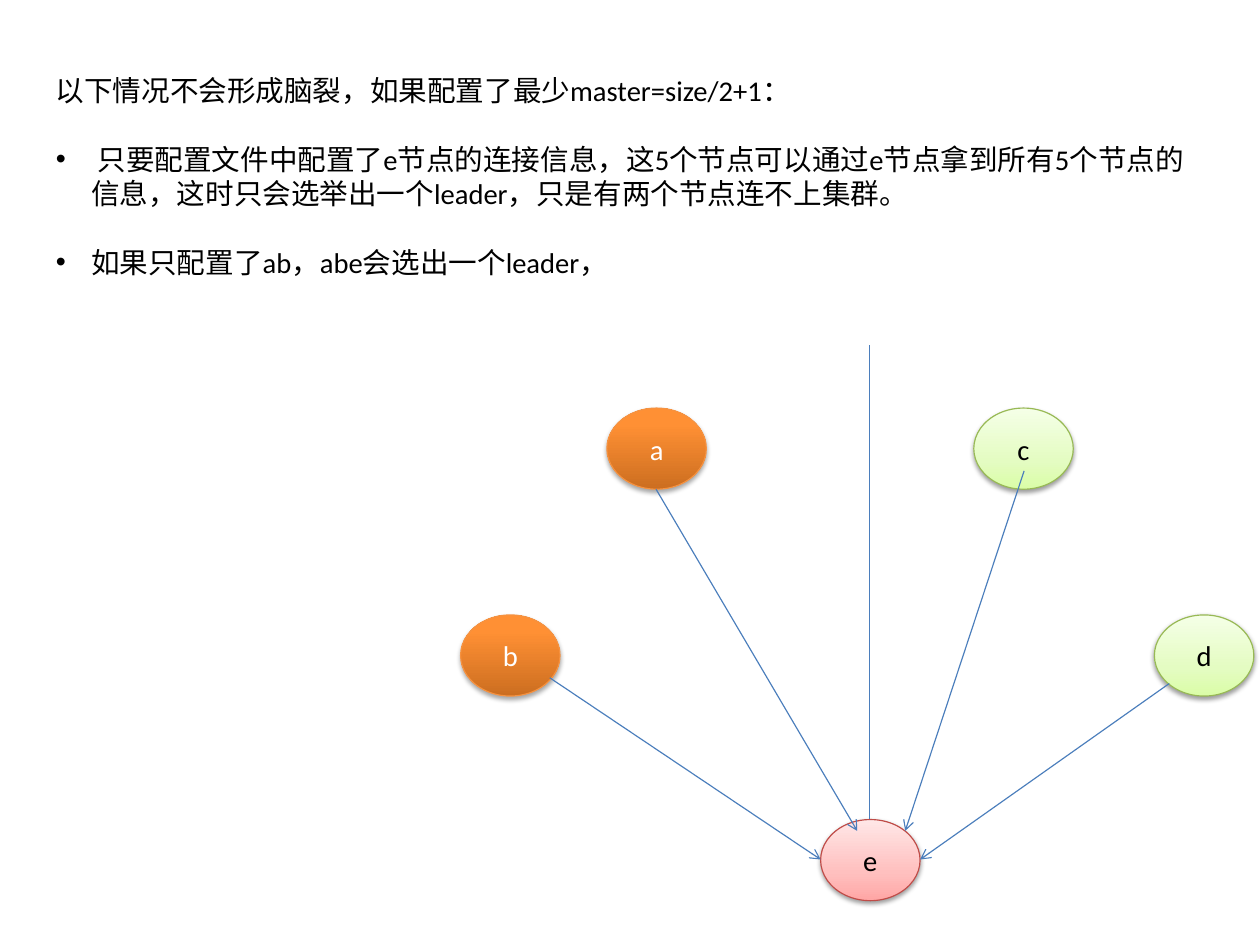
from lxml.etree import SubElement
from pptx import Presentation
from pptx.dml.color import RGBColor
from pptx.enum.shapes import MSO_CONNECTOR, MSO_SHAPE
from pptx.enum.text import MSO_ANCHOR, MSO_AUTO_SIZE, PP_ALIGN
from pptx.oxml.ns import qn
from pptx.util import Inches, Pt

FONT = "Calibri"
BLACK = RGBColor(0x00, 0x00, 0x00)
WHITE = RGBColor(0xFF, 0xFF, 0xFF)
LINE_BLUE = RGBColor(0x4B, 0x7E, 0xBC)
ORANGE_EDGE = RGBColor(0xF6, 0x92, 0x40)
RED_EDGE = RGBColor(0xBF, 0x4C, 0x48)
GREEN_EDGE = RGBColor(0x98, 0xB9, 0x55)
ORANGE_STOPS = [(0, RGBColor(0xCC, 0x6E, 0x20)), (80, RGBColor(0xFF, 0x90, 0x34)),
                (100, RGBColor(0xFF, 0x91, 0x36))]
RED_STOPS = [(0, RGBColor(0xFF, 0xA6, 0xA5)), (35, RGBColor(0xFF, 0xC0, 0xBF)),
             (100, RGBColor(0xFF, 0xE7, 0xE7))]
GREEN_STOPS = [(0, RGBColor(0xDA, 0xFD, 0xA7)), (35, RGBColor(0xE4, 0xFC, 0xC2)),
               (100, RGBColor(0xF5, 0xFF, 0xE7))]

# Node style: gradient stops, edge, text colour, shadow opacity (%), shadow distance (pt)
ORANGE = (ORANGE_STOPS, ORANGE_EDGE, WHITE, 35, 1.8)
RED = (RED_STOPS, RED_EDGE, BLACK, 38, 1.6)
GREEN = (GREEN_STOPS, GREEN_EDGE, BLACK, 38, 1.6)

NODE_WIDTH, NODE_HEIGHT = 0.87, 0.71
# Left and top of each node within the diagram
NODES = [("a", 1.28, 0.55, ORANGE), ("b", 0, 2.36, ORANGE), ("e", 3.15, 4.15, RED),
         ("c", 4.49, 0.55, GREEN), ("d", 6.07, 2.36, GREEN)]
# Start and end of each line within the diagram
DIVIDER = (3.58, 0, 3.58, 4.15)
ARROWS = [(1.71, 1.26, 3.47, 4.25), (0.78, 2.91, 3.15, 4.5),
          (4.93, 1.1, 3.89, 4.25), (6.2, 2.96, 4.02, 4.5)]

HEADING = "以下情况不会形成脑裂，如果配置了最少master=size/2+1："
BULLETS = [
    " 只要配置文件中配置了e节点的连接信息，这5个节点可以通过e节点拿到所有5个节点的信息，"
    "这时只会选举出一个leader，只是有两个节点连不上集群。",
    "如果只配置了ab，abe会选出一个leader，",
]


def style_text(paragraph, color):
    for run in paragraph.runs:
        run.font.name = FONT
        run.font.size = Pt(18)
        run.font.color.rgb = color


def add_color(parent, color):
    return SubElement(parent, qn("a:srgbClr"), val=str(color))


def set_gradient(shape, stops):
    shape.fill.gradient()
    shape.fill.gradient_angle = 90
    stop_list = shape._element.spPr.find(".//" + qn("a:gsLst"))
    for stop in list(stop_list):
        stop_list.remove(stop)
    for position, color in stops:
        add_color(SubElement(stop_list, qn("a:gs"), pos=str(position * 1000)), color)


def set_shadow(shape, opacity, distance):
    shape.shadow.inherit = False
    effects = shape._element.spPr.find(qn("a:effectLst"))
    shadow = SubElement(effects, qn("a:outerShdw"), blurRad=str(Pt(3.1)),
                        dist=str(Pt(distance)), dir="5400000", rotWithShape="0")
    SubElement(add_color(shadow, BLACK), qn("a:alpha"), val=str(opacity * 1000))


def add_node(slide, left, top, label, style):
    stops, edge, text_color, opacity, distance = style
    node = slide.shapes.add_shape(MSO_SHAPE.OVAL, Inches(left), Inches(top),
                                  Inches(NODE_WIDTH), Inches(NODE_HEIGHT))
    set_gradient(node, stops)
    node.line.color.rgb = edge
    node.line.width = Pt(0.75)
    set_shadow(node, opacity, distance)
    node.text_frame.text = label
    node.text_frame.vertical_anchor = MSO_ANCHOR.MIDDLE
    paragraph = node.text_frame.paragraphs[0]
    paragraph.alignment = PP_ALIGN.CENTER
    style_text(paragraph, text_color)


def add_line(slide, left, top, ends, arrow=False):
    x1, y1, x2, y2 = ends
    line = slide.shapes.add_connector(MSO_CONNECTOR.STRAIGHT, Inches(left + x1), Inches(top + y1),
                                      Inches(left + x2), Inches(top + y2))
    line.line.color.rgb = LINE_BLUE
    line.line.width = Pt(0.75)
    if arrow:
        SubElement(line._element.spPr.find(qn("a:ln")), qn("a:tailEnd"), type="arrow")
    SubElement(line._element.spPr, qn("a:effectLst"))


def add_cluster_diagram(slide, left, top):
    for label, x, y, style in NODES:
        add_node(slide, left + x, top + y, label, style)
    add_line(slide, left, top, DIVIDER)
    for ends in ARROWS:
        add_line(slide, left, top, ends, arrow=True)


def add_explanation(slide, left, top, width, height):
    box = slide.shapes.add_textbox(Inches(left), Inches(top), Inches(width), Inches(height))
    text_frame = box.text_frame
    text_frame.word_wrap = True
    text_frame.auto_size = MSO_AUTO_SIZE.SHAPE_TO_FIT_TEXT
    text_frame.text = HEADING
    for text in BULLETS:
        paragraph = text_frame.add_paragraph()
        paragraph.text = text
        paragraph.space_before = Pt(21.6)
        properties = paragraph._p.get_or_add_pPr()
        properties.set("marL", str(Inches(0.31)))
        properties.set("indent", str(Inches(-0.31)))
        SubElement(properties, qn("a:buFont"), typeface="Arial")
        SubElement(properties, qn("a:buChar"), char="•")
    for paragraph in text_frame.paragraphs:
        style_text(paragraph, BLACK)


# Slide of 28 by 21 centimetres
presentation = Presentation()
presentation.slide_width = Inches(28 / 2.54)
presentation.slide_height = Inches(21 / 2.54)
slide = presentation.slides.add_slide(presentation.slide_layouts[6])
add_cluster_diagram(slide, 4.03, 3.02)
add_explanation(slide, 0.39, 0.59, 10.14, 2.22)
presentation.save("out.pptx")
